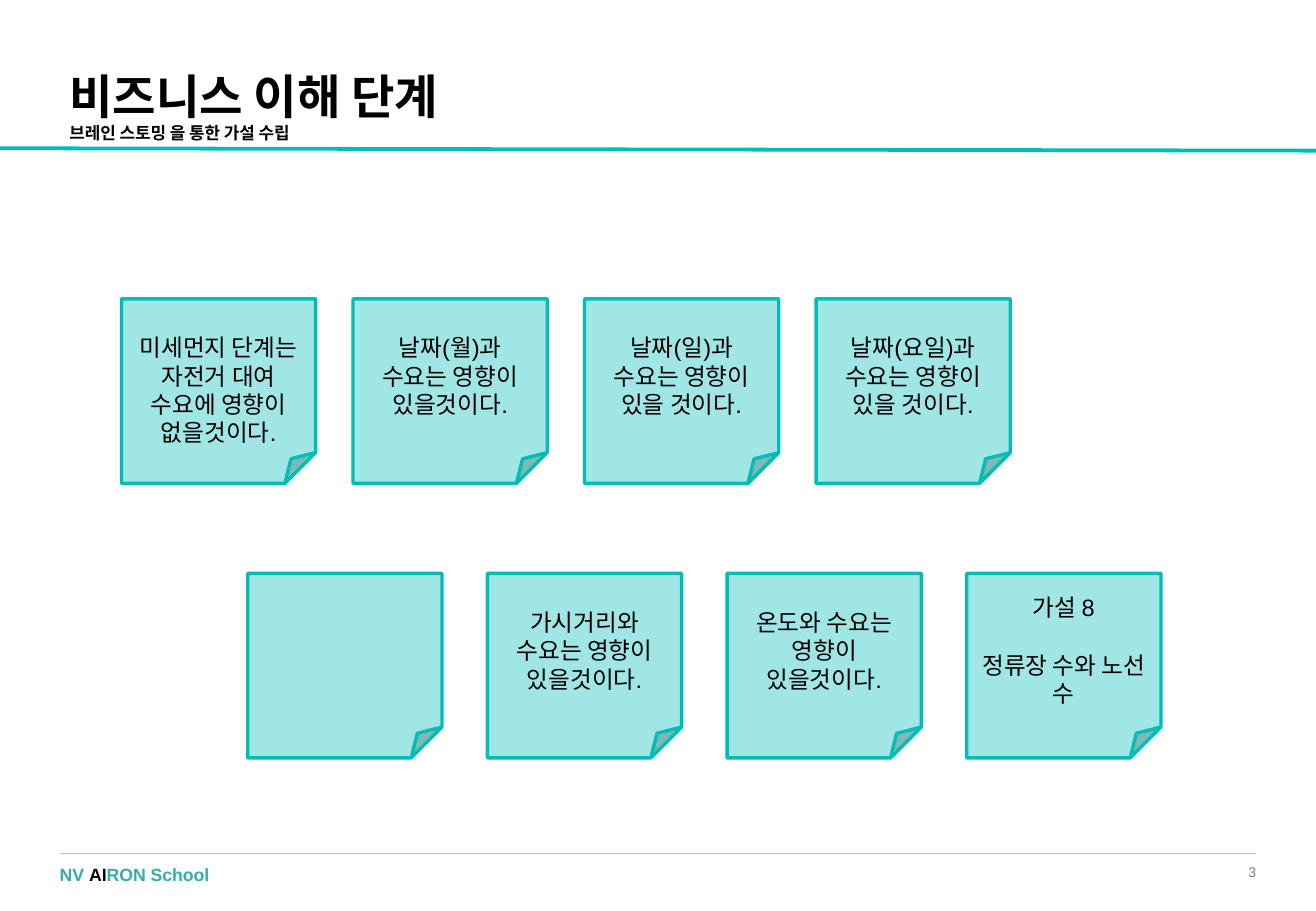
import pptx
import pptx.dml.color
import pptx.enum.shapes
import pptx.enum.text
import pptx.oxml.ns
import pptx.util
from lxml import etree

Cm, Pt = pptx.util.Cm, pptx.util.Pt
ALIGN = pptx.enum.text.PP_ALIGN
ANCHOR = pptx.enum.text.MSO_ANCHOR

COLORS = {
    "teal": "02BDB6",
    "note": "A0E6E4",
    "brand": "34AEAA",
    "rule": "BFBFBF",
    "number": "7F7F7F",
    "text": "000000",
}
FLUSH = dict.fromkeys(
    ("margin_left", "margin_top", "margin_right", "margin_bottom"), 0)


def color(name):
    return pptx.dml.color.RGBColor.from_string(COLORS[name])


def apply(target, values):
    for name, value in values.items():
        setattr(target, name, value)


class NoteBoard:
    """Holds the note style and the current page."""

    note_size = (4.06, 3.86)
    note_font = {"name": "Arial", "size": Pt(14)}

    def __init__(self, page):
        self.page = page

    def line(self, start, end, tint, width):
        connector = self.page.shapes.add_connector(
            pptx.enum.shapes.MSO_CONNECTOR.STRAIGHT,
            *(Cm(value) for value in start + end))
        connector.line.color.rgb = color(tint)
        connector.line.width = Pt(width)
        properties = connector._element.spPr
        etree.SubElement(properties, pptx.oxml.ns.qn("a:effectLst"))

    def span(self, para, text, font, tint="text"):
        span = para.add_run()
        span.text = text
        apply(span.font, font)
        span.font.color.rgb = color(tint)

    def text(self, left, top, width, height, frame=None, para_format=None):
        box = self.page.shapes.add_textbox(
            Cm(left), Cm(top), Cm(width), Cm(height))
        apply(box.text_frame, {"word_wrap": True, **(frame or {})})
        para = box.text_frame.paragraphs[0]
        apply(para, para_format or {})
        return para

    def note(self, left, top, lines, frame):
        note = self.page.shapes.add_shape(
            pptx.enum.shapes.MSO_SHAPE.FOLDED_CORNER,
            Cm(left), Cm(top), *(Cm(side) for side in self.note_size))
        note.shadow.inherit = False
        note.fill.solid()
        note.fill.fore_color.rgb = color("note")
        note.line.color.rgb = color("teal")
        note.line.width = Pt(2)
        apply(note.text_frame, {
            "word_wrap": True, "vertical_anchor": ANCHOR.MIDDLE, **frame})
        for index, line in enumerate(lines):
            if index:
                para = note.text_frame.add_paragraph()
                para.space_before = Pt(17)
            else:
                para = note.text_frame.paragraphs[0]
            para.alignment = ALIGN.CENTER
            self.span(para, line, self.note_font)

    def note_row(self, left, top, pitch, notes):
        for column, (lines, frame) in enumerate(notes):
            self.note(left + column * pitch, top, lines, frame)


def main():
    deck = pptx.Presentation()
    apply(deck, {"slide_width": Cm(27.51), "slide_height": Cm(19.05)})
    board = NoteBoard(deck.slides.add_slide(deck.slide_layouts[6]))

    # Rules and footer
    board.line((27.51, 3.15), (0, 3.1), "teal", 2.25)
    board.line((1.25, 17.85), (26.26, 17.85), "rule", 0.75)
    number = board.text(24.56, 18.06, 1.7, 0.36,
                        {**FLUSH, "vertical_anchor": ANCHOR.MIDDLE},
                        {"alignment": ALIGN.RIGHT})
    board.span(number, "3", {"name": "Arial", "size": Pt(8.3)}, "number")
    footer = board.text(1.25, 18.06, 8.03, 0.46, FLUSH)
    for part, tint in (("NV ", "brand"), ("AI", "text"),
                       ("RON School", "brand")):
        board.span(footer, part,
                   {"name": "Arial", "size": Pt(10.5), "bold": True}, tint)

    # Title and subtitle
    title = board.text(1.2, 1.42, 24.43, 1.65,
                       para_format={"line_spacing": 0.9})
    heading = {"name": "Calibri", "bold": True}
    board.span(title, "비즈니스 이해 단계", {**heading, "size": Pt(28)})
    title.add_line_break()
    board.span(title, "브레인 스토밍 을 통한 가설 수립",
               {**heading, "size": Pt(10)})

    # Hypothesis notes
    board.note_row(2.54, 6.25, 4.84, [
        (["미세먼지 단계는 자전거 대여 수요에 영향이 없을것이다."],
         {"margin_top": Cm(0.71)}),
        (["날짜(월)과 수요는 영향이 있을것이다."], {}),
        (["날짜(일)과 수요는 영향이 있을 것이다."], {}),
        (["날짜(요일)과 수요는 영향이 있을 것이다."], {}),
    ])
    board.note_row(5.18, 11.99, 5.01, [
        ([], {}),
        (["가시거리와 수요는 영향이 있을것이다."], {}),
        (["온도와 수요는 영향이 있을것이다."], {}),
        (["가설 8", "정류장 수와 노선 수"], {}),
    ])

    deck.save("out.pptx")


if __name__ == "__main__":
    main()
